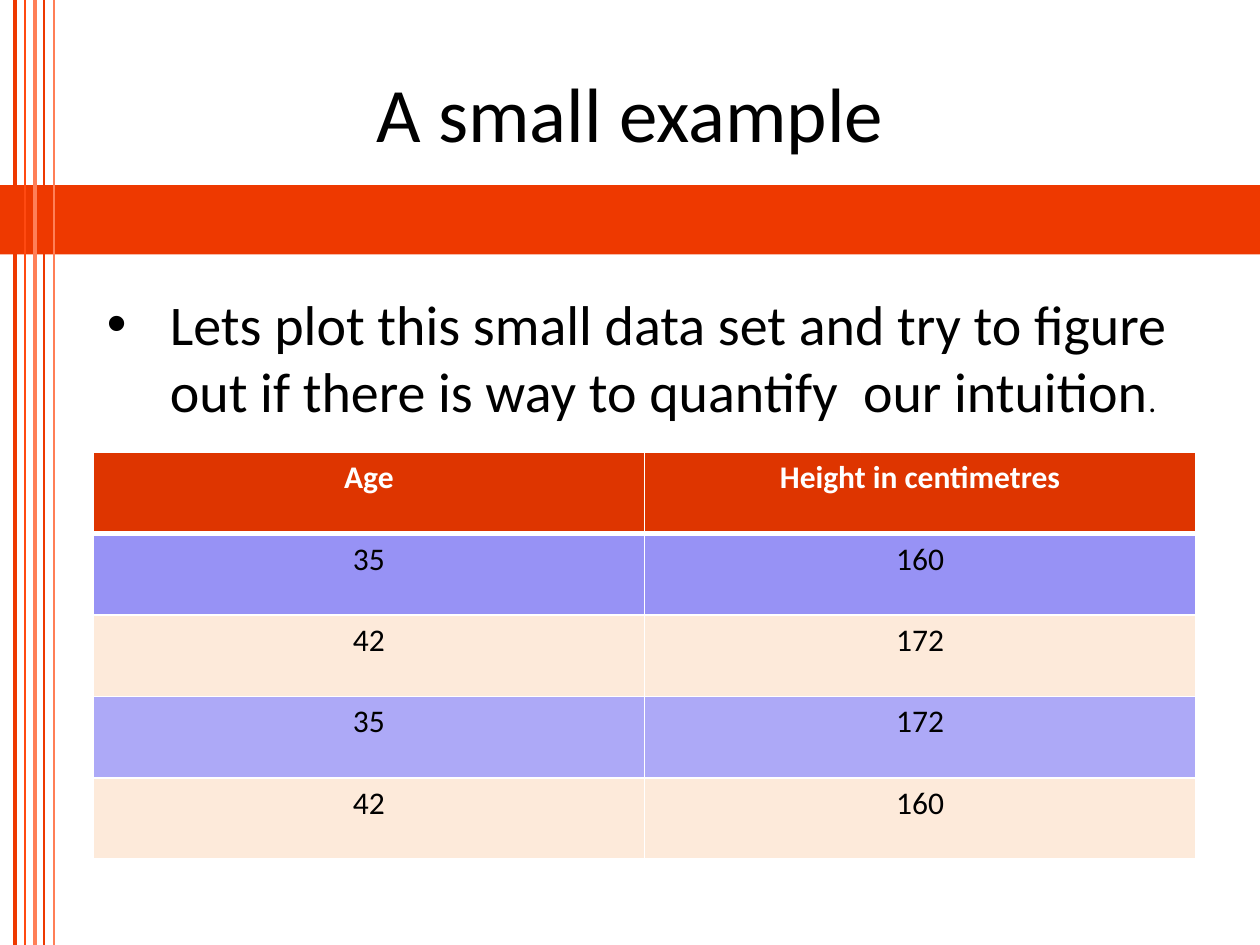
import dataclasses

import lxml.etree
import pptx
import pptx.dml.color
import pptx.enum.shapes
import pptx.enum.text
import pptx.oxml.ns
import pptx.util

Inches = pptx.util.Inches
Pt = pptx.util.Pt
ALIGN = pptx.enum.text.PP_ALIGN
ANCHOR = pptx.enum.text.MSO_ANCHOR
qn = pptx.oxml.ns.qn


@dataclasses.dataclass(frozen=True)
class Theme:
    """Colours, font and type sizes."""
    font: str = "Calibri"
    ink: str = "000000"
    white: str = "FFFFFF"
    red: str = "EE3900"
    mid: str = "FF4A11"
    light: str = "FF7F57"
    head: str = "DE3500"
    blue: str = "827CF4"
    cream: str = "FDEADA"
    title: int = 44
    body: int = 32
    small: int = 18


THEME = Theme()
DATA = [("Age", "Height in centimetres"), ("35", "160"), ("42", "172"),
        ("35", "172"), ("42", "160")]
FILLS = [(THEME.head, 100), (THEME.blue, 83), (THEME.cream, 100),
         (THEME.blue, 65), (THEME.cream, 100)]
LINES = [(0.12, THEME.red, 2.25), (0.2, THEME.mid, 1), (0.28, THEME.light, 2.25),
         (0.35, THEME.red, 0.75), (0.43, THEME.light, 1.5)]


def rgb(code):
    """Turn a hex code into a colour."""
    return pptx.dml.color.RGBColor.from_string(code)


def put(para, text, size=THEME.small, color=THEME.ink, bold=False, align=None):
    """Add one formatted run to a paragraph."""
    run = para.add_run()
    run.text = text
    run.font.name = THEME.font
    run.font.size = Pt(size)
    run.font.bold = bold
    run.font.color.rgb = rgb(color)
    if align is not None:
        para.alignment = align


def add_band(slide, box):
    """Draw the wide red band."""
    band = slide.shapes.add_shape(pptx.enum.shapes.MSO_SHAPE.RECTANGLE,
                                  *map(Inches, box))
    band.shadow.inherit = False
    band.fill.solid()
    band.fill.fore_color.rgb = rgb(THEME.red)
    band.line.fill.background()


def add_stripes(slide, box):
    """Draw the upright lines, offset from the left of the box."""
    left, top, _, high = box
    for gap, color, width in LINES:
        x = Inches(left + gap)
        line = slide.shapes.add_connector(
            pptx.enum.shapes.MSO_CONNECTOR.STRAIGHT,
            x, Inches(top), x, Inches(top + high))
        line.line.color.rgb = rgb(color)
        line.line.width = Pt(width)
        props = line._element.spPr
        lxml.etree.SubElement(props, qn("a:effectLst"))


def add_title(slide, box, text):
    """Place and fill the title."""
    title = slide.shapes.title
    title.left, title.top, title.width, title.height = map(Inches, box)
    title.text_frame.vertical_anchor = ANCHOR.MIDDLE
    put(title.text_frame.paragraphs[0], text, size=THEME.title, align=ALIGN.CENTER)


def add_point(slide, box, text, stop):
    """Add the bullet, which ends in a smaller full stop."""
    frame = slide.shapes.add_textbox(*map(Inches, box)).text_frame
    frame.word_wrap = True
    frame.auto_size = pptx.enum.text.MSO_AUTO_SIZE.SHAPE_TO_FIT_TEXT
    para = frame.paragraphs[0]
    props = para._p.get_or_add_pPr()
    props.set("marL", str(Inches(0.5)))
    props.set("indent", str(Inches(-0.5)))
    lxml.etree.SubElement(props, qn("a:buFont"), typeface="Arial")
    lxml.etree.SubElement(props, qn("a:buChar"), char="•")
    put(para, text, size=THEME.body)
    put(para, stop)


def paint(cell, color, alpha):
    """Fill a cell, with its opacity in percent."""
    cell.fill.solid()
    cell.fill.fore_color.rgb = rgb(color)
    if alpha < 100:
        tone = cell._tc.tcPr.find(".//" + qn("a:srgbClr"))
        lxml.etree.SubElement(tone, qn("a:alpha"), val=str(alpha * 1000))


def edge(cell, **widths):
    """Set white borders, given by side and width in points."""
    props = cell._tc.get_or_add_tcPr()
    for spot, side in enumerate("LRTB"):
        line = lxml.etree.Element(qn("a:ln" + side), w=str(Pt(widths.get(side, 1))))
        fill = lxml.etree.SubElement(line, qn("a:solidFill"))
        lxml.etree.SubElement(fill, qn("a:srgbClr"), val=THEME.white)
        props.insert(spot, line)


def add_grid(slide, box):
    """Build the data table with equal rows and columns."""
    left, top, wide, high = map(Inches, box)
    rows, cols = len(DATA), len(DATA[0])
    grid = slide.shapes.add_table(rows, cols, left, top, wide, high).table
    for col in grid.columns:
        col.width = wide // cols
    for r, (row, fill) in enumerate(zip(DATA, FILLS)):
        grid.rows[r].height = high // rows
        top_row = r == 0
        for c, text in enumerate(row):
            cell = grid.cell(r, c)
            paint(cell, *fill)
            edge(cell, T=3 if r == 1 else 1, B=3 if top_row else 1)
            put(cell.text_frame.paragraphs[0], text, bold=top_row,
                color=THEME.white if top_row else THEME.ink, align=ALIGN.CENTER)


def main():
    """Build and save the slide."""
    deck = pptx.Presentation()
    deck.slide_width, deck.slide_height = Inches(10), Inches(7.5)
    slide = deck.slides.add_slide(deck.slide_layouts.get_by_name("Title Only"))
    add_band(slide, (0, 1.47, 10, 0.55))
    add_stripes(slide, (0, 0, 0.5, 7.5))
    add_title(slide, (0.5, 0.3, 9, 1.17), "A small example")
    add_grid(slide, (0.74, 3.59, 8.75, 3.23))
    add_point(slide, (0.75, 2.25, 9.06, 1.18),
              "Lets plot this small data set and try to figure out "
              "if there is way to quantify  our intuition", ".")
    deck.save("out.pptx")


main()
